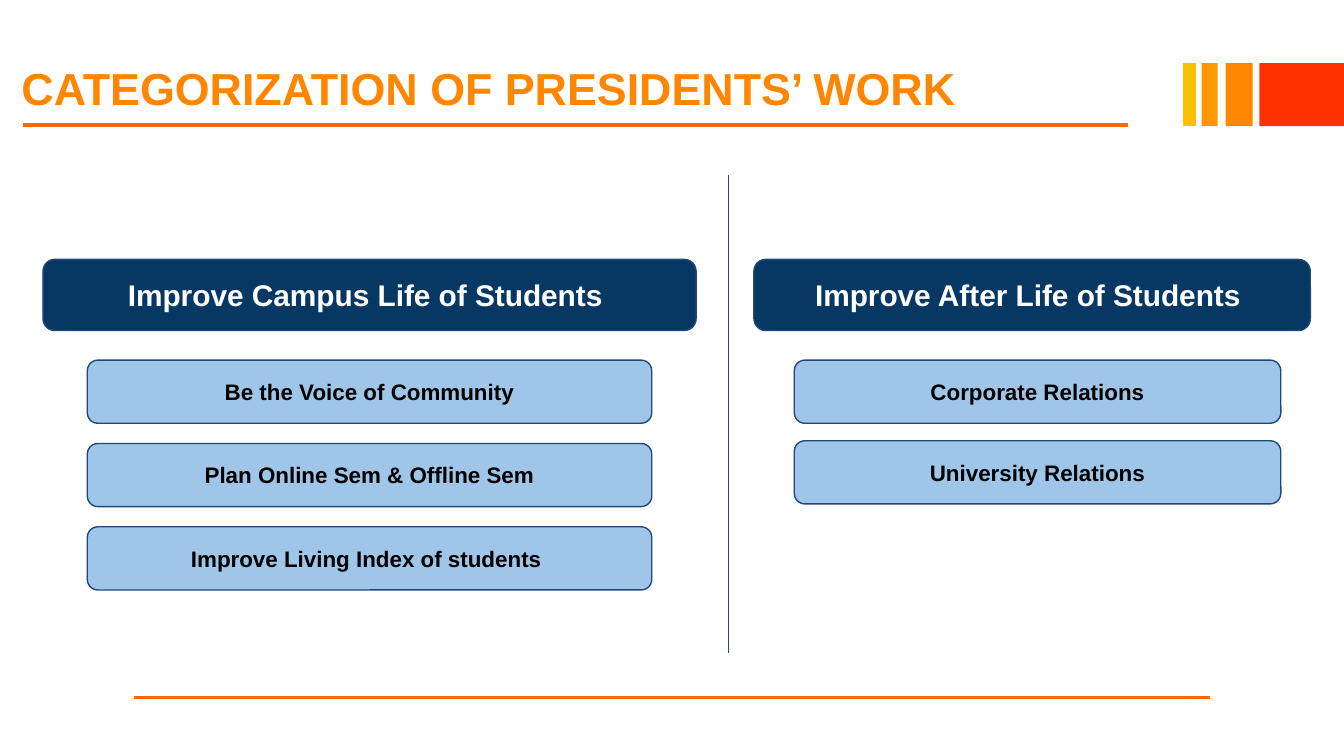
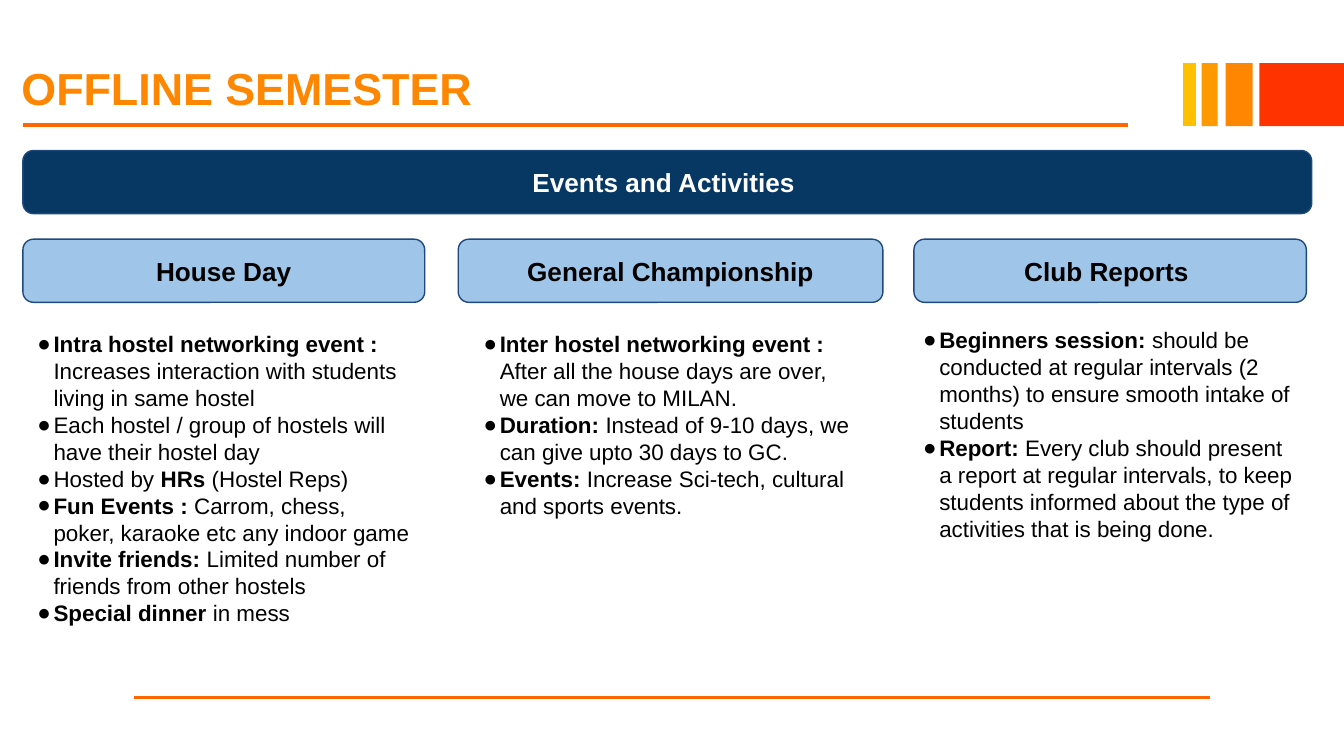
from dataclasses import dataclass

import lxml.etree
import pptx
import pptx.dml.color
import pptx.enum.shapes
import pptx.enum.text
import pptx.oxml.ns
import pptx.presentation
import pptx.slide
import pptx.text.text
import pptx.util

Inches = pptx.util.Inches
Pt = pptx.util.Pt
Shape = pptx.enum.shapes.MSO_SHAPE
Align = pptx.enum.text.PP_ALIGN
Anchor = pptx.enum.text.MSO_ANCHOR
qn = pptx.oxml.ns.qn

FONT = "Arial"
COLORS = {
    "title": "FF8600",
    "rule": "FF6600",
    "yellow": "FFC000",
    "amber": "FF9900",
    "red": "FF3300",
    "navy": "073763",
    "sky": "9FC5E8",
    "edge": "1F497D",
    "white": "FFFFFF",
    "black": "000000",
}


@dataclass
class Box:
    left: float
    top: float
    width: float
    height: float


@dataclass
class Bar:
    left: float
    width: float
    color: str


@dataclass
class Group:
    head: str
    head_box: Box
    items: list[str]
    left: float
    width: float
    step: float


@dataclass
class Column:
    head: str
    left: float
    width: float
    text_left: float
    text_top: float
    points: list[list[tuple[str, bool]]]


BARS = [
    Bar(9.12, 0.2, "title"),
    Bar(9.37, 0.63, "red"),
    Bar(8.94, 0.12, "amber"),
]

GROUPS = [
    Group("Improve Campus Life of Students ", Box(0.32, 1.93, 4.86, 0.53),
          ["Be the Voice of Community", "Plan Online Sem & Offline Sem",
           "Improve Living Index of students "], 0.65, 4.2, 0.62),
    Group("Improve After Life of Students ", Box(5.61, 1.93, 4.14, 0.53),
          ["Corporate Relations", "University Relations"], 5.91, 3.62, 0.6),
]

COLUMNS = [
    Column("House Day", 0.17, 2.99, 0.18, 2.36, [
        [("Intra hostel networking event :", True),
         (" Increases interaction with students living in same hostel ", False)],
        [("Each hostel / group of hostels will have their hostel day ", False)],
        [("Hosted by ", False), ("HRs", True), (" (Hostel Reps)", False)],
        [("Fun Events :", True),
         (" Carrom, chess, poker, karaoke etc any indoor game ", False)],
        [("Invite friends: ", True),
         ("Limited number of friends from other hostels ", False)],
        [("Special dinner", True), (" in mess", False)],
    ]),
    Column("General Championship", 3.41, 3.16, 3.5, 2.36, [
        [("Inter hostel networking event :", True),
         ("  After all the house days are over, we can move to MILAN.", False)],
        [("Duration: ", True),
         ("Instead of 9-10 days, we can give upto 30 days to GC.", False)],
        [("Events: ", True),
         ("Increase Sci-tech, cultural and sports events. ", False)],
    ]),
    Column("Club Reports ", 6.8, 2.92, 6.77, 2.33, [
        [("Beginners session: ", True),
         ("should be conducted at regular intervals (2 months) to ensure "
          "smooth intake of students ", False)],
        [("Report: ", True),
         ("Every club should present a report at regular intervals, to keep "
          "students informed about the type of activities that is being "
          "done. ", False)],
    ]),
]


def rgb(name: str) -> pptx.dml.color.RGBColor:
    return pptx.dml.color.RGBColor.from_string(COLORS[name])


def style(run: pptx.text.text._Run, size: float, color: str, bold: bool) -> None:
    run.font.name = FONT
    run.font.size = Pt(size)
    run.font.bold = bold
    run.font.color.rgb = rgb(color)


def inset(frame: pptx.text.text.TextFrame, gap: float) -> None:
    frame.margin_left = frame.margin_right = Inches(gap)
    frame.margin_top = frame.margin_bottom = Inches(gap)


def draw_line(slide: pptx.slide.Slide, x1: float, y1: float, x2: float,
              y2: float, color: str, weight: float) -> None:
    line = slide.shapes.add_connector(
        pptx.enum.shapes.MSO_CONNECTOR.STRAIGHT,
        Inches(x1), Inches(y1), Inches(x2), Inches(y2))
    line.line.color.rgb = rgb(color)
    line.line.width = Pt(weight)
    lxml.etree.SubElement(line._element.spPr, qn("a:effectLst"))


def draw_bar(slide: pptx.slide.Slide, bar: Bar) -> None:
    shape = slide.shapes.add_shape(Shape.RECTANGLE, Inches(bar.left),
                                   Inches(0.47), Inches(bar.width), Inches(0.47))
    shape.shadow.inherit = False
    shape.fill.solid()
    shape.fill.fore_color.rgb = rgb(bar.color)
    shape.line.fill.background()


def draw_box(slide: pptx.slide.Slide, text: str, box: Box, fill: str,
             color: str, size: float) -> None:
    shape = slide.shapes.add_shape(Shape.ROUNDED_RECTANGLE, Inches(box.left),
                                   Inches(box.top), Inches(box.width),
                                   Inches(box.height))
    shape.shadow.inherit = False
    shape.fill.solid()
    shape.fill.fore_color.rgb = rgb(fill)
    shape.line.color.rgb = rgb("edge")
    shape.line.width = Pt(0.75)
    frame = shape.text_frame
    frame.text = text
    frame.word_wrap = True
    frame.vertical_anchor = Anchor.MIDDLE
    inset(frame, 0.1)
    para = frame.paragraphs[0]
    para.alignment = Align.CENTER
    style(para.runs[0], size, color, True)


def set_bullet(para: pptx.text.text._Paragraph) -> None:
    props = para._p.get_or_add_pPr()
    props.set("marL", str(Inches(0.12)))
    props.set("indent", str(Inches(-0.15)))
    tint = lxml.etree.SubElement(props, qn("a:buClr"))
    lxml.etree.SubElement(tint, qn("a:srgbClr"), val=COLORS["black"])
    lxml.etree.SubElement(props, qn("a:buSzPts"), val="1200")
    lxml.etree.SubElement(props, qn("a:buFont"), typeface=FONT)
    lxml.etree.SubElement(props, qn("a:buChar"), char="●")


def draw_points(slide: pptx.slide.Slide, col: Column) -> None:
    frame = slide.shapes.add_textbox(
        Inches(col.text_left), Inches(col.text_top),
        Inches(2.99), Inches(2.46)).text_frame
    frame.word_wrap = True
    inset(frame, 0.1)
    for i, point in enumerate(col.points):
        para = frame.add_paragraph() if i else frame.paragraphs[0]
        set_bullet(para)
        for text, bold in point:
            run = para.add_run()
            run.text = text
            style(run, 12, "black", bold)


def add_slide(deck: pptx.presentation.Presentation, text: str) -> pptx.slide.Slide:
    slide = deck.slides.add_slide(deck.slide_layouts[5])
    title = slide.shapes.title
    title.left, title.top = Inches(0.15), Inches(0.44)
    title.width, title.height = Inches(9.85), Inches(0.47)
    frame = title.text_frame
    frame.text = text
    frame.auto_size = pptx.enum.text.MSO_AUTO_SIZE.NONE
    frame.vertical_anchor = Anchor.TOP
    inset(frame, 0)
    frame.margin_top = Inches(0.01)
    para = frame.paragraphs[0]
    para.alignment = Align.LEFT
    para._p.get_or_add_pPr().set("marL", str(Inches(0.01)))
    style(para.runs[0], 24, "title", True)
    for bar in BARS:
        draw_bar(slide, bar)
    draw_line(slide, 8.85, 0.47, 8.85, 0.94, "yellow", 6.72)
    draw_line(slide, 1, 5.19, 9, 5.19, "rule", 2)
    draw_line(slide, 0.17, 0.93, 8.39, 0.93, "rule", 2)
    return slide


def build_work(deck: pptx.presentation.Presentation) -> None:
    slide = add_slide(deck, "CATEGORIZATION OF PRESIDENTS’ WORK")
    draw_line(slide, 5.42, 1.3, 5.42, 4.86, "edge", 0.75)
    for group in GROUPS:
        draw_box(slide, group.head, group.head_box, "navy", "white", 16)
        for i, item in enumerate(group.items):
            box = Box(group.left, 2.68 + i * group.step, group.width, 0.47)
            draw_box(slide, item, box, "sky", "black", 12)


def build_term(deck: pptx.presentation.Presentation) -> None:
    slide = add_slide(deck, "OFFLINE SEMESTER")
    draw_box(slide, "Events and Activities ", Box(0.17, 1.12, 9.59, 0.47),
             "navy", "white", 14)
    for col in COLUMNS:
        draw_box(slide, col.head, Box(col.left, 1.78, col.width, 0.47),
                 "sky", "black", 14)
        draw_points(slide, col)


def main() -> None:
    deck = pptx.Presentation()
    deck.slide_width = Inches(10)
    deck.slide_height = Inches(10 * 9 / 16)
    build_work(deck)
    build_term(deck)
    deck.save("out.pptx")


main()
